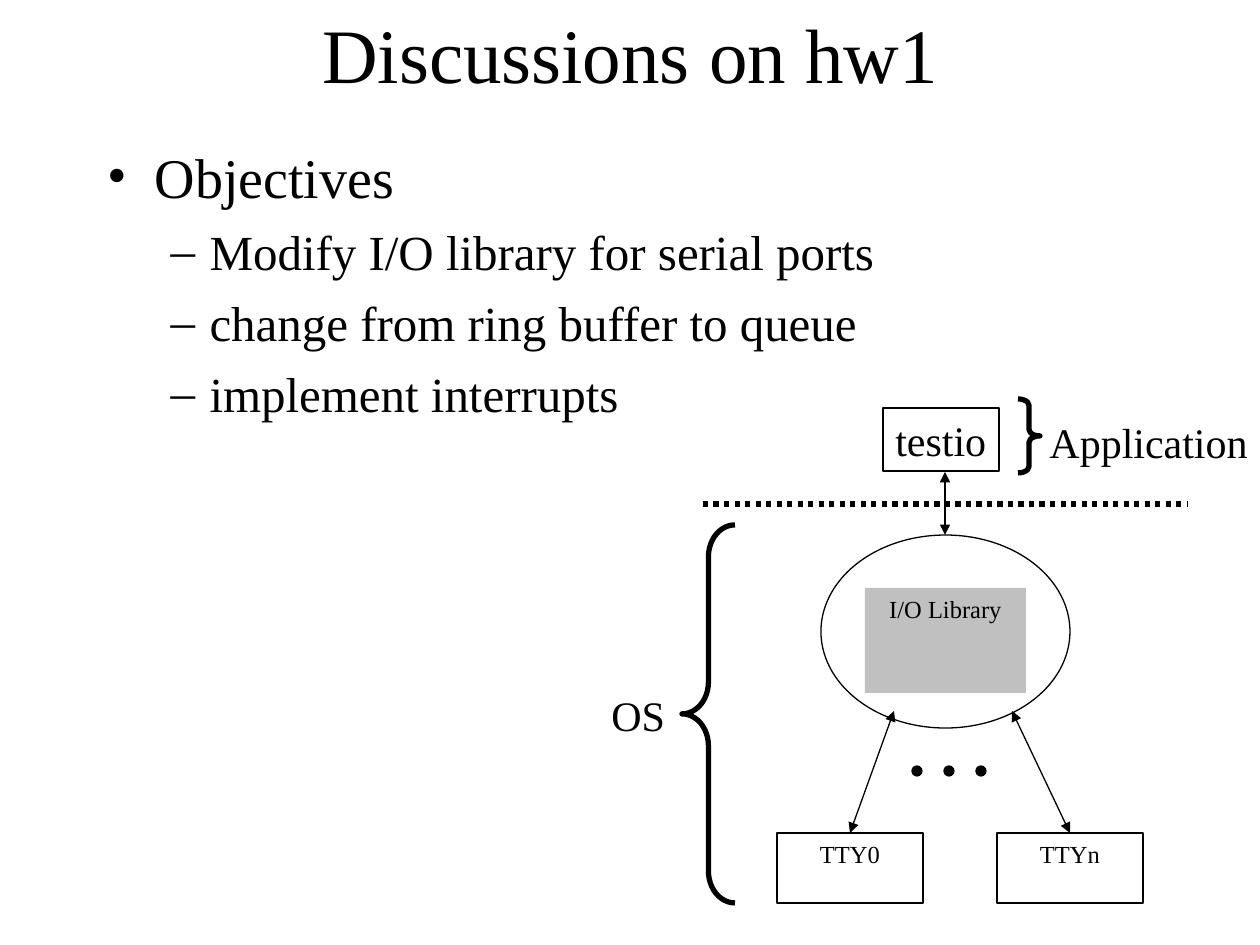
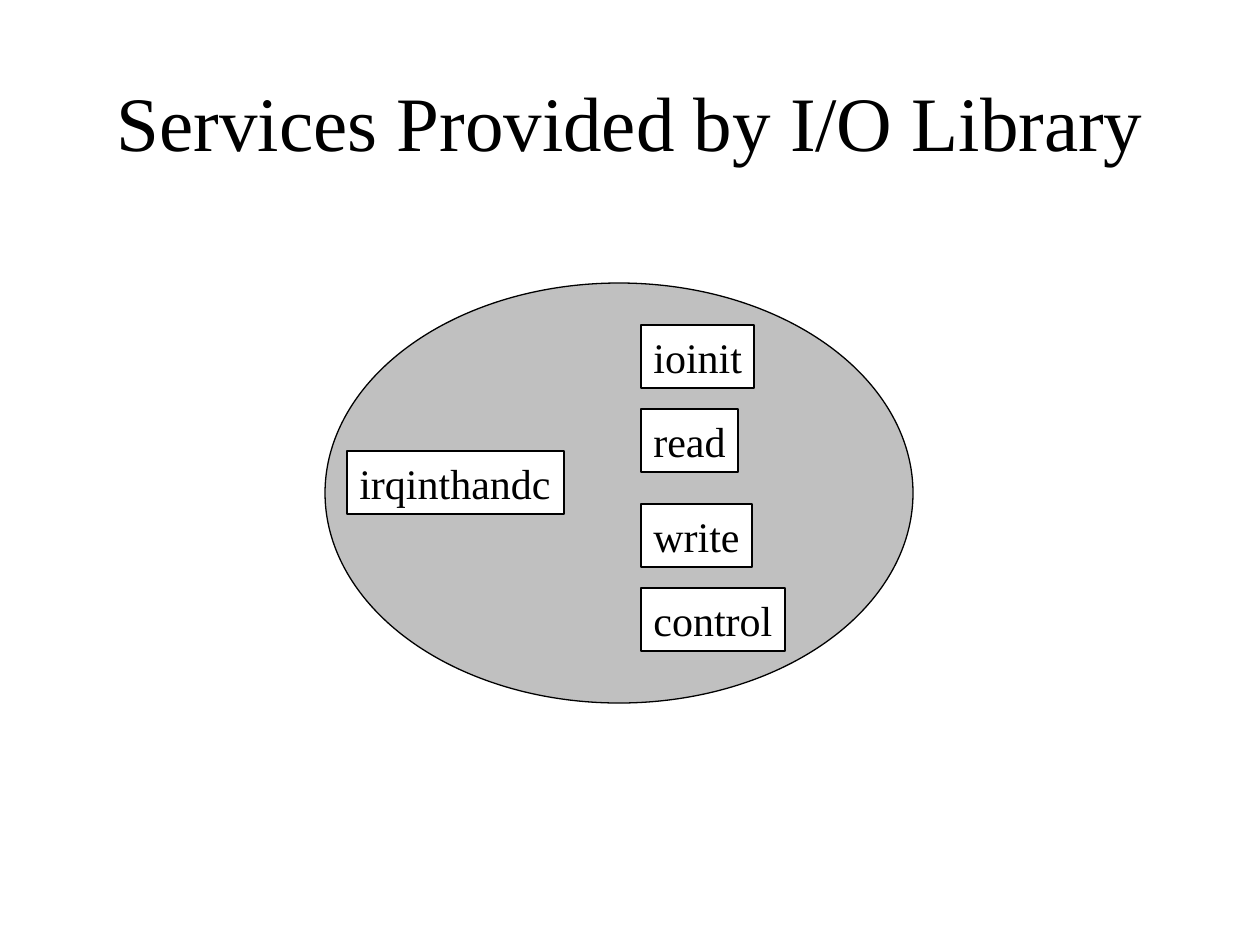
from lxml.etree import SubElement
from pptx import Presentation
from pptx.dml.color import RGBColor
from pptx.enum.dml import MSO_LINE
from pptx.enum.shapes import MSO_CONNECTOR, MSO_SHAPE
from pptx.enum.text import MSO_ANCHOR, MSO_AUTO_SIZE, PP_ALIGN
from pptx.oxml.ns import qn
from pptx.util import Emu, Pt

PIXEL = 914400 / 126
FONT = "Times New Roman"
BLACK, WHITE, GREY = "000000", "FFFFFF", "C0C0C0"
THIN, THICK = 0.75, 3

HOMEWORK_TITLE = "Discussions on hw1"
OBJECTIVES = [
    (0, "Objectives"),
    (1, "Modify I/O library for serial ports"),
    (1, "change from ring buffer to queue"),
    (1, "implement interrupts"),
]
# bullet, size, space before, left margin px, hanging indent px
LEVELS = [("•", 32, 8, 47, 47), ("–", 28, 7, 102, 39)]
TERMINALS = [("TTY0", 777), ("TTYn", 997)]
ARROWS = [(945, 472, 945, 535), (894, 711, 850, 833), (1012, 711, 1070, 833)]
# shape, box, height of the curl relative to the width
BRACES = [
    (MSO_SHAPE.LEFT_BRACE, (682, 525, 53, 378), 0.6),
    (MSO_SHAPE.RIGHT_BRACE, (1018, 399, 22, 74), 0.29),
]
SIDE_LABELS = [("OS", (599, 683, 78, 63)), ("Application", (1037, 410, 223, 63))]

SERVICES_TITLE = "Services Provided by I/O Library"
# name, left, top, width
SERVICES = [
    ("ioinit", 641, 325, 113),
    ("read", 641, 409, 97),
    ("write", 641, 504, 111),
    ("control", 641, 588, 144),
    ("irqinthandc", 347, 451, 217),
]
LABEL_HEIGHT = 63


def px(*lengths):
    return [Emu(round(length * PIXEL)) for length in lengths]


def color(value):
    return RGBColor.from_string(value)


def write(frame, text, size=24, align=PP_ALIGN.LEFT, anchor=MSO_ANCHOR.TOP,
          wrap=False, para=None):
    frame.word_wrap = wrap
    frame.auto_size = MSO_AUTO_SIZE.NONE
    frame.vertical_anchor = anchor
    para = para or frame.paragraphs[0]
    para.alignment = align
    span = para.add_run()
    span.text = text
    span.font.size = Pt(size)
    span.font.name = FONT
    span.font.color.rgb = color(BLACK)
    return para


def place(shape, box):
    shape.left, shape.top, shape.width, shape.height = px(*box)


def add_titled_page(deck, layout, title, box):
    page = deck.slides.add_slide(deck.slide_layouts[layout])
    place(page.shapes.title, box)
    write(page.shapes.title.text_frame, title, size=44, align=PP_ALIGN.CENTER,
          anchor=MSO_ANCHOR.MIDDLE, wrap=True)
    return page


def add_outline(page, kind, box, fill=None, line=THIN, text=None, **text_format):
    shape = page.shapes.add_shape(kind, *px(*box))
    shape.shadow.inherit = False
    if fill:
        shape.fill.solid()
        shape.fill.fore_color.rgb = color(fill)
    else:
        shape.fill.background()
    if line:
        shape.line.color.rgb = color(BLACK)
        shape.line.width = Pt(line)
    else:
        shape.line.fill.background()
    if text:
        write(shape.text_frame, text, **text_format)
    return shape


def add_line(page, ends, width=THIN, arrows=False):
    line = page.shapes.add_connector(MSO_CONNECTOR.STRAIGHT, *px(*ends))
    line.line.color.rgb = color(BLACK)
    line.line.width = Pt(width)
    if arrows:
        for tag in ("a:headEnd", "a:tailEnd"):
            SubElement(line.line._get_or_add_ln(), qn(tag), type="triangle")
    SubElement(line._element.spPr, qn("a:effectLst"))
    return line


def add_objectives(body):
    place(body, (95, 136, 1124, 305))
    frame = body.text_frame
    for index, (level, text) in enumerate(OBJECTIVES):
        bullet, size, space, margin, hanging = LEVELS[level]
        para = frame.add_paragraph() if index else frame.paragraphs[0]
        write(frame, text, size=size, wrap=True, para=para)
        para.level = level
        para.space_before = Pt(space)
        properties = para._p.get_or_add_pPr()
        left, indent = px(margin, -hanging)
        properties.set("marL", str(left))
        properties.set("indent", str(indent))
        SubElement(properties, qn("a:buFont"), typeface=FONT)
        SubElement(properties, qn("a:buChar"), char=bullet)


def build_homework_page(deck):
    page = add_titled_page(deck, 1, HOMEWORK_TITLE, (95, 0, 1071, 105))
    add_objectives(page.placeholders[1])

    small = dict(size=14, align=PP_ALIGN.CENTER, wrap=True)
    add_outline(page, MSO_SHAPE.OVAL, (821, 535, 249, 193), fill=WHITE)
    add_outline(page, MSO_SHAPE.RECTANGLE, (865, 588, 161, 105), fill=GREY,
                line=None, text="I/O Library", **small)
    for name, left in TERMINALS:
        add_outline(page, MSO_SHAPE.RECTANGLE, (left, 833, 146, 70),
                    fill=WHITE, text=name, **small)
    for dot in range(3):
        add_outline(page, MSO_SHAPE.OVAL, (912 + dot * 32, 766, 10, 10), fill=BLACK)

    boundary = add_line(page, (703, 504, 1187, 504), width=THICK)
    boundary.line.dash_style = MSO_LINE.ROUND_DOT
    add_outline(page, MSO_SHAPE.RECTANGLE, (883, 408, 116, LABEL_HEIGHT), text="testio")
    for ends in ARROWS:
        add_line(page, ends, arrows=True)
    for kind, box, curl in BRACES:
        brace = add_outline(page, kind, box, line=THICK)
        brace.adjustments[0] = curl
    for text, box in SIDE_LABELS:
        write(page.shapes.add_textbox(*px(*box)).text_frame, text)


def build_services_page(deck):
    page = add_titled_page(deck, 5, SERVICES_TITLE, (95, 42, 1071, 157))
    add_outline(page, MSO_SHAPE.OVAL, (325, 283, 588, 420), fill=GREY)
    for name, left, top, width in SERVICES:
        add_outline(page, MSO_SHAPE.RECTANGLE, (left, top, width, LABEL_HEIGHT),
                    fill=WHITE, text=name)


def main():
    deck = Presentation()
    deck.slide_width, deck.slide_height = px(1260, 945)
    build_homework_page(deck)
    build_services_page(deck)
    deck.save("out.pptx")


if __name__ == "__main__":
    main()
